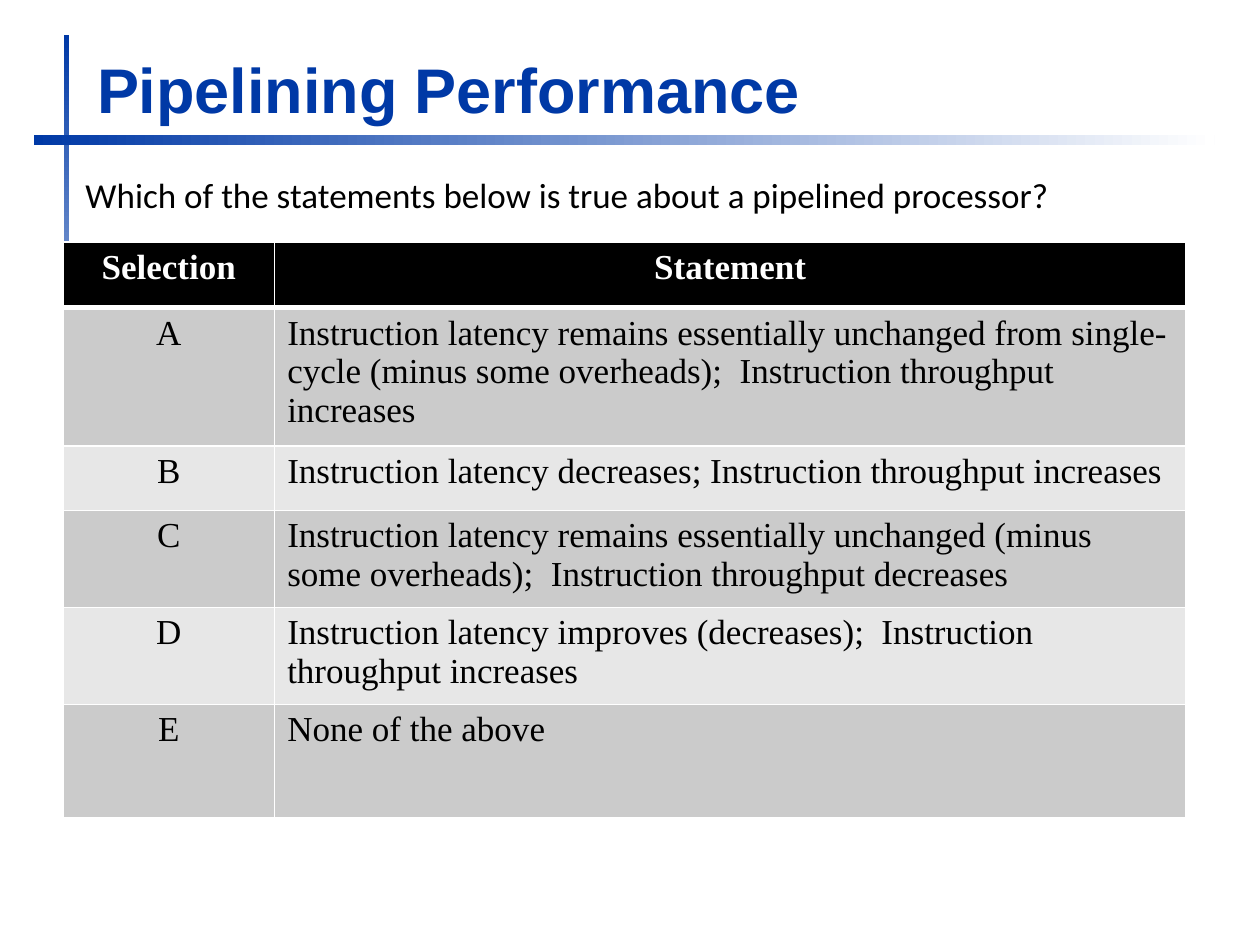
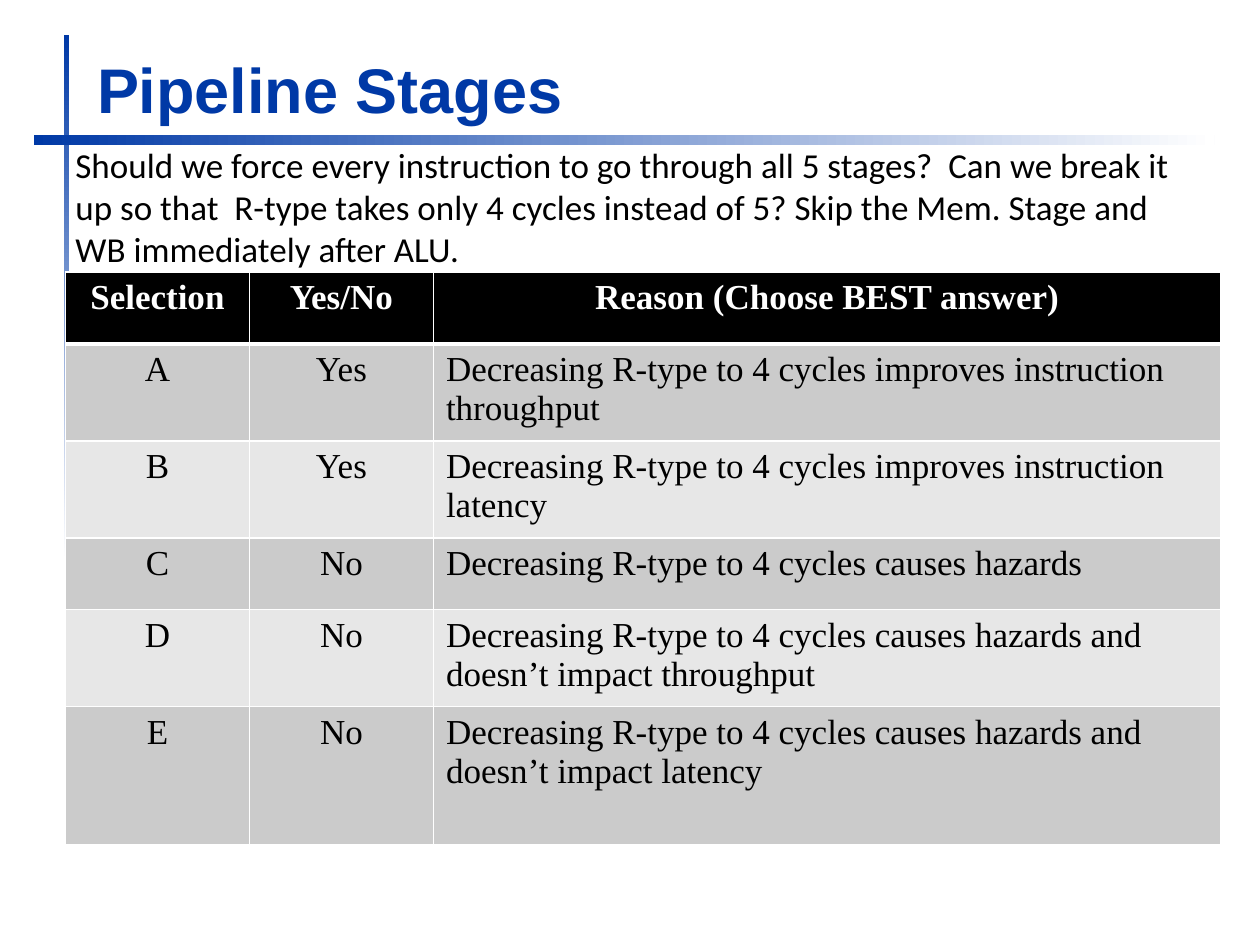
from dataclasses import dataclass

from lxml import etree
from pptx import Presentation
from pptx.dml.color import RGBColor
from pptx.enum.shapes import MSO_SHAPE
from pptx.enum.text import MSO_ANCHOR, MSO_AUTO_SIZE, PP_ALIGN
from pptx.oxml.ns import qn
from pptx.util import Emu, Pt

RECT = MSO_SHAPE.RECTANGLE
MIDDLE = MSO_ANCHOR.MIDDLE
GROW = MSO_AUTO_SIZE.SHAPE_TO_FIT_TEXT
LEFT, CENTER = PP_ALIGN.LEFT, PP_ALIGN.CENTER

EMU_PER_PX = 9144  # 100 px to the inch
TITLE_ONLY = 5


@dataclass(frozen=True)
class TextStyle:
    name: str
    size: int
    color: str
    bold: bool = False


@dataclass(frozen=True)
class Theme:
    accent: str = "0039A6"
    paper: str = "FFFFFF"
    header_fill: str = "000000"
    band_fills: tuple[str, str] = ("CBCBCB", "E7E7E7")
    thin: int = 1
    thick: int = 3
    title: TextStyle = TextStyle("Arial", 36, "0039A6", True)
    question: TextStyle = TextStyle("Calibri", 20, "000000")
    header: TextStyle = TextStyle("Times New Roman", 20, "FFFFFF", True)
    answer: TextStyle = TextStyle("Times New Roman", 20, "000000")


@dataclass(frozen=True)
class Box:
    left: int
    top: int
    width: int
    height: int

    def emu(self) -> tuple[Emu, ...]:
        return tuple(px(n) for n in (self.left, self.top, self.width, self.height))


@dataclass(frozen=True)
class GradientBar:
    box: Box
    angle: int


@dataclass(frozen=True)
class QuizSlide:
    title: str
    question: str
    question_box: Box
    table_at: tuple[int, int]
    col_widths: tuple[int, ...]
    row_heights: tuple[int, ...]
    rows: tuple[tuple[str, ...], ...]


THEME = Theme()
TITLE_BOX = Box(67, 8, 850, 125)
BARS = (
    GradientBar(Box(51, 28, 4, 417), 270),
    GradientBar(Box(27, 107, 937, 8), 0),
)

SLIDES = (
    QuizSlide(
        "Pipelining Performance",
        "Which of the statements below is true about a pipelined processor?",
        Box(58, 133, 892, 73),
        (50, 192),
        (168, 723),
        (52, 110, 51, 77, 77, 90),
        (
            ("Selection", "Statement"),
            ("A", "Instruction latency remains essentially unchanged from single-cycle "
                  "(minus some overheads);  Instruction throughput increases"),
            ("B", "Instruction latency decreases; Instruction throughput increases"),
            ("C", "Instruction latency remains essentially unchanged "
                  "(minus some overheads);  Instruction throughput decreases"),
            ("D", "Instruction latency improves (decreases);  "
                  "Instruction throughput increases"),
            ("E", "None of the above"),
        ),
    ),
    QuizSlide(
        "Pipeline Stages",
        "Should we force every instruction to go through all 5 stages?  Can we break it "
        "up so that  R-type takes only 4 cycles instead of 5? Skip the Mem. Stage and "
        "WB immediately after ALU.",
        Box(50, 109, 892, 141),
        (52, 216),
        (146, 146, 625),
        (57, 77, 77, 57, 77, 110),
        (
            ("Selection", "Yes/No", "Reason (Choose BEST answer)"),
            ("A", "Yes", "Decreasing R-type to 4 cycles improves instruction throughput"),
            ("B", "Yes", "Decreasing R-type to 4 cycles improves instruction latency"),
            ("C", "No", "Decreasing R-type to 4 cycles causes hazards"),
            ("D", "No", "Decreasing R-type to 4 cycles causes hazards and "
                        "doesn’t impact throughput"),
            ("E", "No", "Decreasing R-type to 4 cycles causes hazards and "
                        "doesn’t impact latency"),
        ),
    ),
)


def px(n: int) -> Emu:
    return Emu(n * EMU_PER_PX)


def set_all(target, values: dict) -> None:
    for name, value in values.items():
        setattr(target, name, value)


def write(tf, text: str, style: TextStyle, align=LEFT) -> None:
    p = tf.paragraphs[0]
    p.alignment = align
    r = p.add_run()
    r.text = text
    set_all(r.font, {"name": style.name, "size": Pt(style.size), "bold": style.bold})
    r.font.color.rgb = RGBColor.from_string(style.color)


def add_bar(s, layout, bar: GradientBar) -> None:
    """Draw a fading bar and hand it over to the shared layout."""
    sp = s.shapes.add_shape(RECT, *bar.box.emu())
    sp.shadow.inherit = False
    sp.line.fill.background()
    sp.fill.gradient()
    sp.fill.gradient_angle = bar.angle
    for stop, color in zip(sp.fill.gradient_stops, (THEME.accent, THEME.paper)):
        stop.color.rgb = RGBColor.from_string(color)
    layout.shapes.element.append(sp.element)


def add_title(s, text: str) -> None:
    sp = s.shapes.title
    set_all(sp, dict(zip(("left", "top", "width", "height"), TITLE_BOX.emu())))
    sp.text_frame.vertical_anchor = MIDDLE
    write(sp.text_frame, text, THEME.title)


def add_question(s, text: str, box: Box) -> None:
    tf = s.shapes.add_textbox(*box.emu()).text_frame
    set_all(tf, {"word_wrap": True, "auto_size": GROW})
    write(tf, text, THEME.question)


def set_borders(cell, top: int, bottom: int) -> None:
    tc_pr = cell._tc.get_or_add_tcPr()
    widths = {"lnL": THEME.thin, "lnR": THEME.thin, "lnT": top, "lnB": bottom}
    for side, width in widths.items():
        ln = etree.SubElement(tc_pr, qn(f"a:{side}"), w=str(Pt(width)))
        fill = etree.SubElement(ln, qn("a:solidFill"))
        etree.SubElement(fill, qn("a:srgbClr"), val=THEME.paper)


def add_answer_table(s, quiz: QuizSlide) -> None:
    box = Box(*quiz.table_at, sum(quiz.col_widths), sum(quiz.row_heights))
    n_rows, n_cols = len(quiz.rows), len(quiz.col_widths)
    table = s.shapes.add_table(n_rows, n_cols, *box.emu()).table
    table.horz_banding = False
    for col, width in zip(table.columns, quiz.col_widths):
        col.width = px(width)
    for i, (row, height) in enumerate(zip(table.rows, quiz.row_heights)):
        row.height = px(height)
        is_header = i == 0
        style = THEME.header if is_header else THEME.answer
        fill = THEME.header_fill if is_header else THEME.band_fills[(i - 1) % 2]
        # The heavy rule runs between the header and the first answer
        top = THEME.thick if i == 1 else THEME.thin
        bottom = THEME.thick if is_header else THEME.thin
        for j, cell in enumerate(row.cells):
            set_borders(cell, top, bottom)
            cell.fill.solid()
            cell.fill.fore_color.rgb = RGBColor.from_string(fill)
            is_statement = j == n_cols - 1 and not is_header
            write(cell.text_frame, quiz.rows[i][j], style, LEFT if is_statement else CENTER)


def main() -> None:
    prs = Presentation()
    set_all(prs, {"slide_width": px(1000), "slide_height": px(750)})
    layout = prs.slide_layouts[TITLE_ONLY]
    for quiz in SLIDES:
        s = prs.slides.add_slide(layout)
        add_title(s, quiz.title)
        add_question(s, quiz.question, quiz.question_box)
        add_answer_table(s, quiz)
    # Bars shared by every slide
    for bar in BARS:
        add_bar(prs.slides[0], layout, bar)
    prs.save("out.pptx")


if __name__ == "__main__":
    main()
